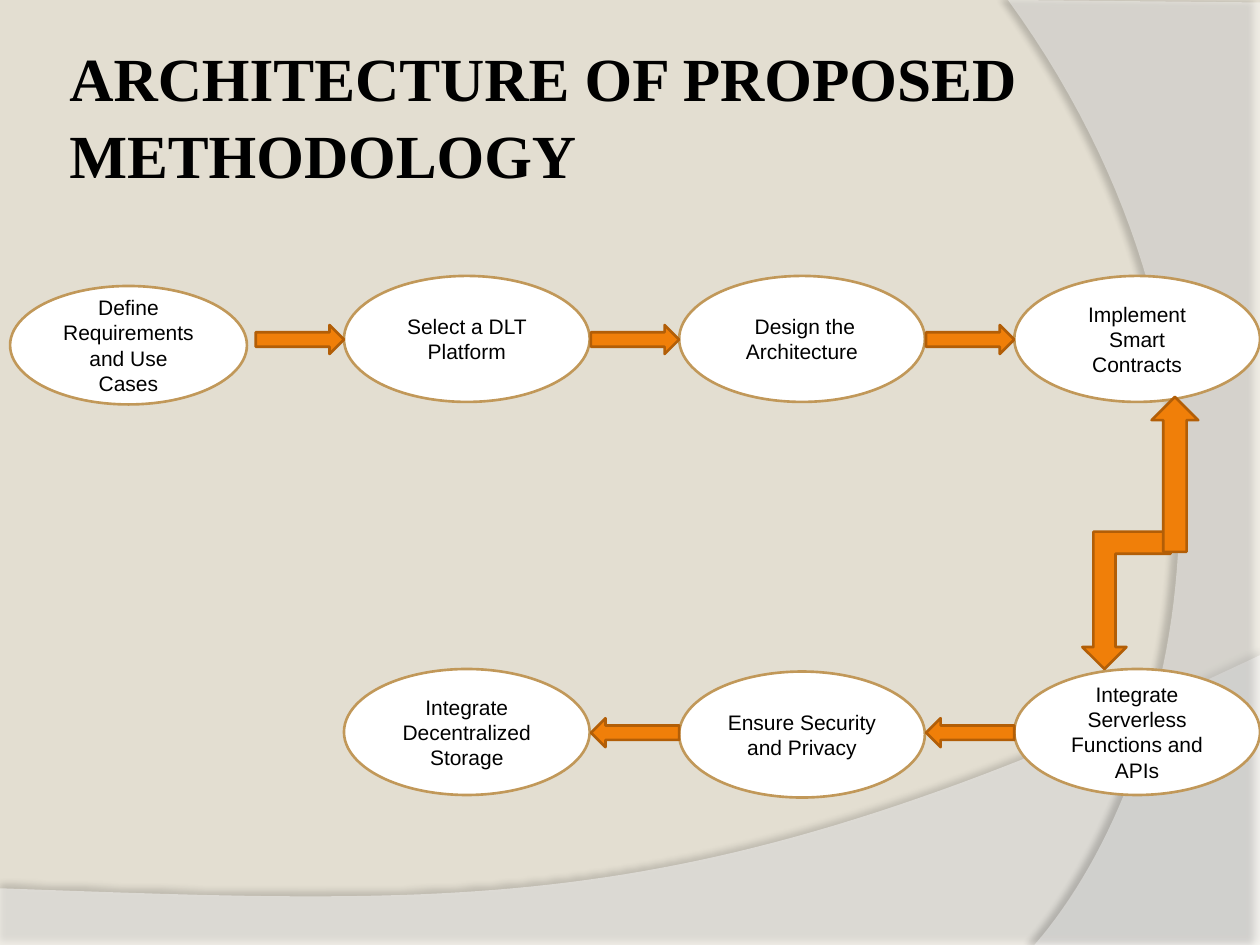
import lxml.etree
import pptx
import pptx.dml.color
import pptx.enum.shapes
import pptx.enum.text
import pptx.oxml.ns
import pptx.util

RGB = pptx.dml.color.RGBColor
SHAPE = pptx.enum.shapes.MSO_SHAPE
TEXT = pptx.enum.text
inch = pptx.util.Inches

SAND = RGB(0xE3, 0xDE, 0xD1)
WHITE = RGB(0xFF, 0xFF, 0xFF)
BLACK = RGB(0, 0, 0)
TAN = RGB(0xC1, 0x98, 0x59)
ORANGE = RGB(0xF0, 0x7F, 0x09)
RUST = RGB(0xB2, 0x5E, 0x07)

GRID_LEFT, GRID_TOP = 0.07, 2.19
COLUMN_STEP, ROW_STEP = 2.66, 3.12
STEP_WIDTH, STEP_HEIGHT = 1.95, 1


def bezier(start, first, second, end, pieces=60):
    """Return the points of a cubic curve after its start."""
    points = []
    for piece in range(1, pieces + 1):
        t = piece / pieces
        weights = ((1 - t) ** 3, 3 * t * (1 - t) ** 2, 3 * t * t * (1 - t), t ** 3)
        corners = (start, first, second, end)
        points.append(tuple(sum(w * c[axis] for w, c in zip(weights, corners)) for axis in (0, 1)))
    return points


class FlowSlide:
    """Holds the slide, its grid and the style of its elements."""

    def __init__(self, deck):
        self.slide = deck.slides.add_slide(deck.slide_layouts[5])
        self.shapes = self.slide.shapes
        fill = self.slide.background.fill
        fill.solid()
        fill.fore_color.rgb = SAND

    def paint(self, shape, fill, line):
        shape.shadow.inherit = False
        shape.fill.solid()
        shape.fill.fore_color.rgb = fill
        if line is None:
            shape.line.fill.background()
        else:
            shape.line.color.rgb = line
            shape.line.width = pptx.util.Pt(1.5)

    def sweep(self, outline, opacity, shade, distance, direction):
        points = [(inch(x), inch(y)) for x, y in outline]
        builder = self.shapes.build_freeform(*points[0])
        builder.add_line_segments(points[1:], close=True)
        curve = builder.convert_to_shape()
        self.paint(curve, WHITE, None)
        qn = pptx.oxml.ns.qn
        properties = curve.element.spPr
        tint = properties.find(qn("a:solidFill")).find(qn("a:srgbClr"))
        lxml.etree.SubElement(tint, qn("a:alpha"), val=str(opacity * 1000))
        shadow = lxml.etree.SubElement(
            properties.find(qn("a:effectLst")), qn("a:outerShdw"),
            blurRad=str(pptx.util.Pt(4)), dist=str(pptx.util.Pt(distance)),
            dir=str(direction * 60000), algn="ctr", rotWithShape="0")
        black = lxml.etree.SubElement(shadow, qn("a:srgbClr"), val="000000")
        lxml.etree.SubElement(black, qn("a:alpha"), val=str(shade * 1000))

    def title(self, wording):
        heading = self.shapes.title
        self.shapes.element.append(heading.element)
        heading.left, heading.top = inch(0.5), inch(0.16)
        heading.width, heading.height = inch(9.5), inch(1.48)
        frame = heading.text_frame
        frame.text = wording
        frame.auto_size = TEXT.MSO_AUTO_SIZE.NONE
        frame.vertical_anchor = TEXT.MSO_ANCHOR.MIDDLE
        frame.margin_left = frame.margin_right = inch(0.05)
        frame.margin_top = frame.margin_bottom = inch(0.05)
        paragraph = frame.paragraphs[0]
        paragraph.alignment = TEXT.PP_ALIGN.LEFT
        paragraph.line_spacing = 1.05
        self.letter(paragraph.font, "Times New Roman", 35, True)

    def letter(self, font, name, size, bold=False):
        font.name, font.size, font.bold = name, pptx.util.Pt(size), bold
        font.color.rgb = BLACK

    def place(self, preset, column, row, dx, dy, width, height):
        left = GRID_LEFT + column * COLUMN_STEP + dx
        top = GRID_TOP + row * ROW_STEP + dy
        return self.shapes.add_shape(preset, inch(left), inch(top), inch(width), inch(height))

    def step(self, wording, column, row, dx=0, dy=0, width=STEP_WIDTH, height=STEP_HEIGHT):
        oval = self.place(SHAPE.OVAL, column, row, dx, dy, width, height)
        self.paint(oval, WHITE, TAN)
        oval.text_frame.text = wording
        oval.text_frame.vertical_anchor = TEXT.MSO_ANCHOR.MIDDLE
        paragraph = oval.text_frame.paragraphs[0]
        paragraph.alignment = TEXT.PP_ALIGN.CENTER
        self.letter(paragraph.font, "Arial", 12)

    def arrow(self, preset, column, row, dx, dy, width, height, rotation=0):
        arrow = self.place(preset, column, row, dx, dy, width, height)
        arrow.rotation = rotation
        self.paint(arrow, ORANGE, RUST)

    def link(self, column, row, rotation=0):
        self.arrow(SHAPE.RIGHT_ARROW, column, row, 1.96, 0.39, 0.7, 0.23, rotation)


def main():
    deck = pptx.Presentation()
    deck.slide_width, deck.slide_height = inch(10), inch(7.5)
    flow = FlowSlide(deck)

    bottom_curve = bezier((10, 5.2), (5.59, 7.29), (3.91, 7.19), (0, 7.05))
    flow.sweep([(0, 7.05), (0, 7.51), (10, 7.51), (10, 5.2)] + bottom_curve, 45, 35, 3.5, 270)
    side_curve = bezier((8.21, 7.5), (9.35, 6.19), (10.18, 3), (8, 0))
    flow.sweep([(10, 0.02), (10, 7.5), (8.21, 7.5)] + side_curve, 40, 45, 4, 180)

    flow.title("ARCHITECTURE OF PROPOSED METHODOLOGY")

    flow.step("Define Requirements and Use Cases", 0, 0, 0.01, 0.08, 1.88, 0.94)
    flow.step("Select a DLT Platform", 1, 0)
    flow.step(" Design the Architecture", 2, 0)
    flow.step("Implement Smart Contracts", 3, 0)
    flow.step("Integrate Serverless Functions and APIs", 3, 1)
    flow.step("Ensure Security and Privacy", 2, 1, dy=0.02)
    flow.step("Integrate Decentralized Storage", 1, 1)

    for column in (0, 1, 2):
        flow.link(column, 0)
    for column in (2, 1):
        flow.link(column, 1, rotation=180)
    flow.arrow(SHAPE.BENT_UP_ARROW, 3, 1, 0.54, -1.09, 0.7, 1.09, rotation=180)
    flow.arrow(SHAPE.UP_ARROW, 3, 0, 1.09, 0.96, 0.37, 1.23)

    deck.save("out.pptx")


if __name__ == "__main__":
    main()
